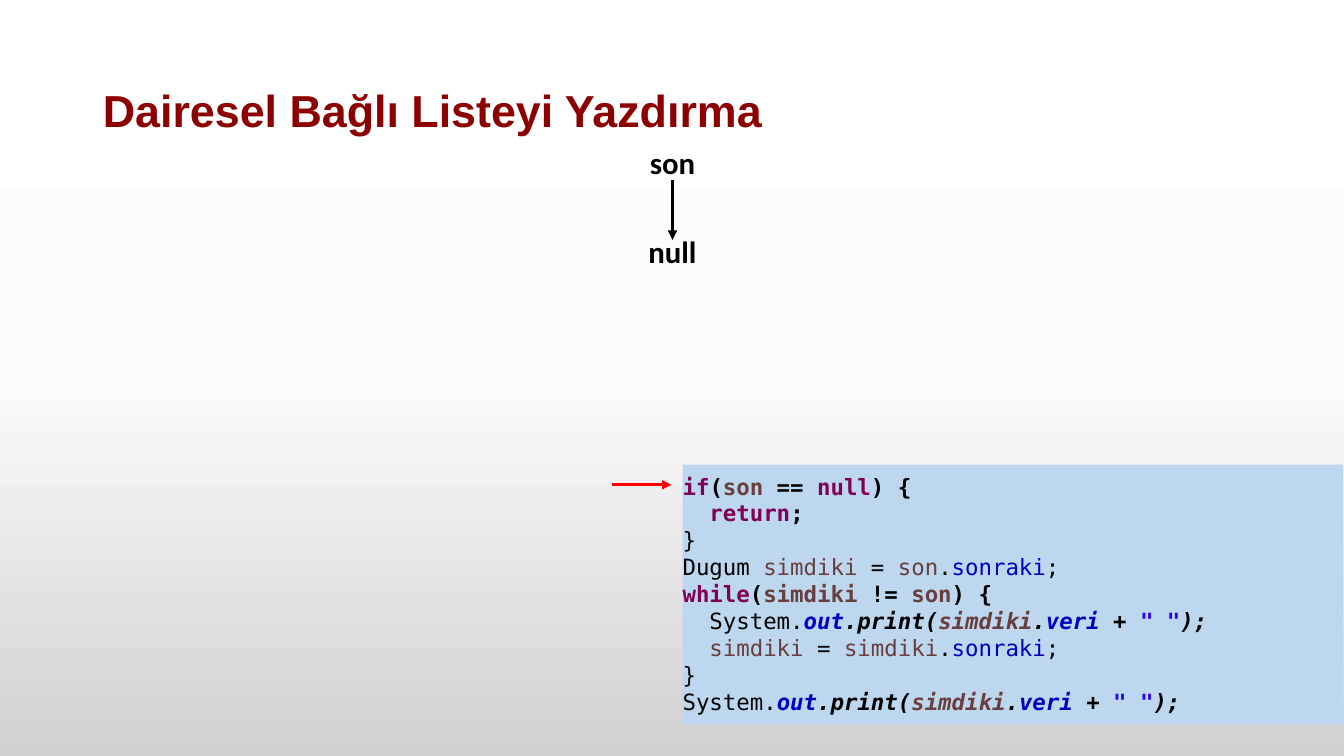
from copy import deepcopy
from dataclasses import dataclass, field

from pptx import Presentation
from pptx.dml.color import RGBColor
from pptx.enum.shapes import MSO_CONNECTOR as Connector, MSO_SHAPE as Shape
from pptx.enum.text import MSO_ANCHOR as Anchor, MSO_AUTO_SIZE as AutoSize, PP_ALIGN as Align
from pptx.oxml.ns import qn
from pptx.util import Inches, Pt
from lxml.etree import SubElement


@dataclass(frozen=True)
class Theme:
    title_font: str = "Arial"
    label_font: str = "Calibri"
    code_font: str = "DejaVu Sans Mono"
    title_size: int = 32
    label_size: int = 22
    code_size: int = 16
    line_width: float = 2.25
    title: str = "8C0000"
    ink: str = "000000"
    marker: str = "FF0000"
    code_panel: str = "BDD7EE"
    backdrop: tuple = ((0, "FFFFFF"), (0.5, "FBFBFB"), (1, "D1D1D1"))
    syntax: dict = field(default_factory=lambda: {
        "plain": "000000", "keyword": "7F0055", "variable": "6A3E3E",
        "member": "0000C0", "string": "2A00FF"})


def rgb(value):
    return RGBColor.from_string(value)


class SlideBuilder:
    def __init__(self, slide, theme):
        self.slide = slide
        self.theme = theme

    def backdrop(self):
        fill = self.slide.background.fill
        fill.gradient()
        fill.gradient_angle = 270
        first_stop = fill._fill._gradFill.gsLst[0]
        first_stop.addnext(deepcopy(first_stop))
        for stop, (position, color) in zip(fill.gradient_stops, self.theme.backdrop):
            stop.position = position
            stop.color.rgb = rgb(color)

    def style(self, font, name, size, color=None, bold=None):
        font.name = name
        font.size = Pt(size)
        font.bold = bold
        if color:
            font.color.rgb = rgb(color)

    def title(self, text, left, top, width, height):
        title = self.slide.shapes.title
        title.left, title.top = Inches(left), Inches(top)
        title.width, title.height = Inches(width), Inches(height)
        frame = title.text_frame
        frame.text = text
        frame.auto_size = AutoSize.NONE
        frame.vertical_anchor = Anchor.MIDDLE
        heading = frame.paragraphs[0]
        heading.alignment = Align.LEFT
        heading.line_spacing = 0.9
        self.style(heading.font, self.theme.title_font, self.theme.title_size,
                   self.theme.title, True)

    def label(self, shapes, text, left, top, width, height):
        label = shapes.add_textbox(Inches(left), Inches(top), Inches(width), Inches(height))
        frame = label.text_frame
        frame.text = text
        frame.word_wrap = False
        frame.auto_size = AutoSize.SHAPE_TO_FIT_TEXT
        paragraph = frame.paragraphs[0]
        paragraph.alignment = Align.CENTER
        self.style(paragraph.font, self.theme.label_font, self.theme.label_size,
                   self.theme.ink, True)

    def arrow(self, shapes, start, end, color):
        arrow = shapes.add_connector(Connector.STRAIGHT, *map(Inches, start + end))
        arrow.line.color.rgb = rgb(color)
        arrow.line.width = Pt(self.theme.line_width)
        SubElement(arrow.line._get_or_add_ln(), qn("a:tailEnd"), type="triangle")
        SubElement(arrow._element.spPr, qn("a:effectLst"))

    def code(self, lines, left, top, width, height):
        """Draw a code panel; each line is a list of (text, syntax role, emphasis)."""
        panel = self.slide.shapes.add_shape(
            Shape.RECTANGLE, Inches(left), Inches(top), Inches(width), Inches(height))
        panel.shadow.inherit = False
        panel.fill.solid()
        panel.fill.fore_color.rgb = rgb(self.theme.code_panel)
        panel.line.fill.background()
        frame = panel.text_frame
        frame.word_wrap = True
        frame.auto_size = AutoSize.SHAPE_TO_FIT_TEXT
        frame.vertical_anchor = Anchor.TOP
        frame.margin_left = frame.margin_right = 0
        frame.margin_top = frame.margin_bottom = Inches(0.08)
        for index, tokens in enumerate(lines):
            paragraph = frame.paragraphs[0] if index == 0 else frame.add_paragraph()
            paragraph.alignment = Align.LEFT
            self.style(paragraph.font, self.theme.code_font, self.theme.code_size)
            for text, role, emphasis in tokens:
                run = paragraph.add_run()
                run.text = text
                run.font.color.rgb = rgb(self.theme.syntax[role])
                run.font.bold = "b" in emphasis
                run.font.italic = "i" in emphasis


def code_line(*tokens, emphasis=""):
    """Turn alternating text and syntax role into tokens of one emphasis."""
    return [(text, role, emphasis) for text, role in zip(tokens[::2], tokens[1::2])]


PRINT_CALL = code_line("System.", "plain") + code_line(
    "out", "member", ".print(", "plain", "simdiki", "variable", ".", "plain",
    "veri", "member", " + ", "plain", '" "', "string", ");", "plain", emphasis="bi")
CLOSING_BRACE = code_line("}", "plain")
PRINT_LIST_CODE = [
    code_line("if", "keyword", "(", "plain", "son", "variable", " == ", "plain",
              "null", "keyword", ") {", "plain", emphasis="b"),
    code_line("  return", "keyword", ";", "plain", emphasis="b"),
    CLOSING_BRACE,
    code_line("Dugum ", "plain", "simdiki", "variable", " = ", "plain",
              "son", "variable", ".", "plain", "sonraki", "member", ";", "plain"),
    code_line("while", "keyword", "(", "plain", "simdiki", "variable", " != ", "plain",
              "son", "variable", ") {", "plain", emphasis="b"),
    code_line("  ", "plain") + PRINT_CALL,
    code_line("  simdiki ", "variable", "= ", "plain", "simdiki", "variable",
              ".", "plain", "sonraki", "member", ";", "plain"),
    CLOSING_BRACE,
    PRINT_CALL,
]


def main():
    deck = Presentation()
    deck.slide_width, deck.slide_height = Inches(13.33), Inches(7.5)
    theme = Theme()
    builder = SlideBuilder(deck.slides.add_slide(deck.slide_layouts[5]), theme)
    builder.backdrop()
    builder.title("Dairesel Bağlı Listeyi Yazdırma", 0.92, 0.4, 11.5, 1.45)

    pointer = builder.slide.shapes.add_group_shape().shapes
    builder.label(pointer, "son", 6.34, 1.38, 0.66, 0.47)
    builder.arrow(pointer, (6.67, 1.79), (6.67, 2.38), theme.ink)
    builder.label(pointer, "null", 6.33, 2.26, 0.68, 0.47)

    builder.arrow(builder.slide.shapes, (6.07, 4.81), (6.66, 4.81), theme.marker)
    builder.code(PRINT_LIST_CODE, 6.77, 4.61, 6.55, 2.58)
    deck.save("out.pptx")


if __name__ == "__main__":
    main()
